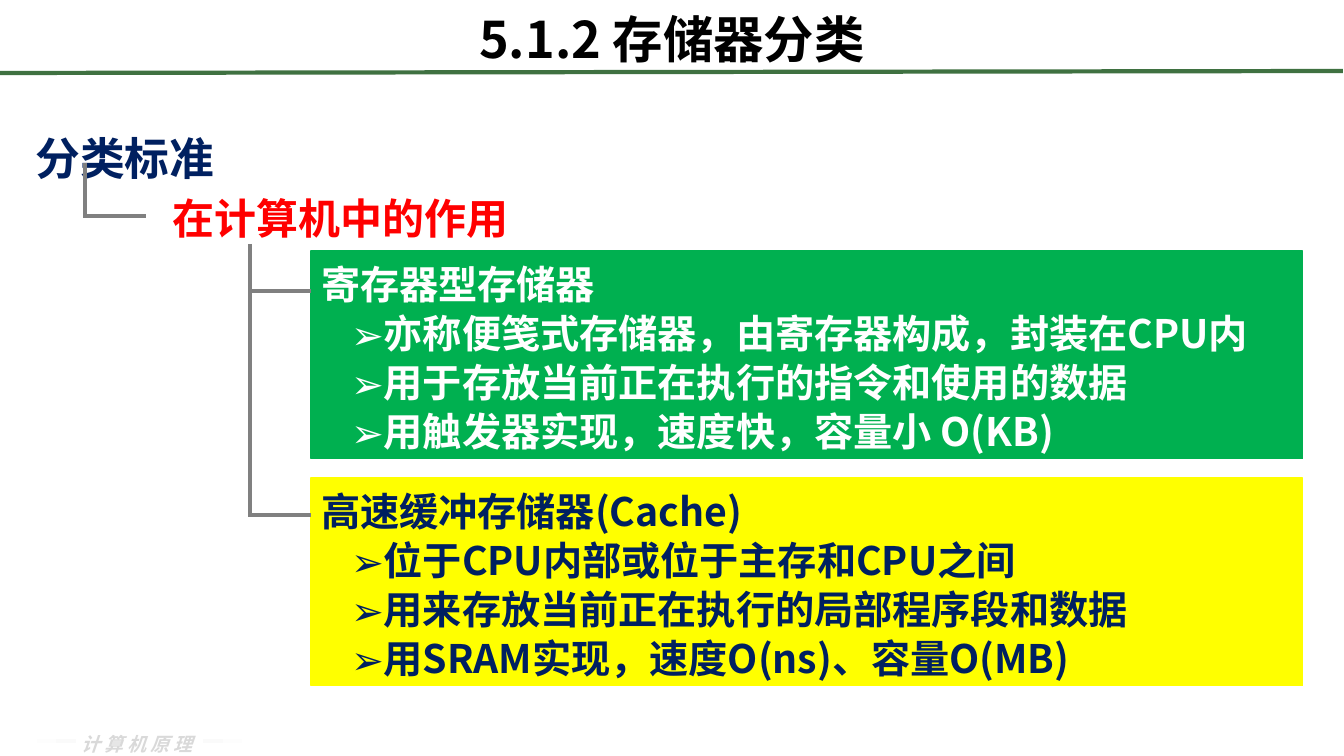
from pptx import Presentation
from pptx.dml.color import RGBColor
from pptx.enum.shapes import MSO_CONNECTOR, MSO_SHAPE
from pptx.enum.text import MSO_ANCHOR, PP_ALIGN
from pptx.oxml.ns import qn
from pptx.util import Emu, Pt
from lxml.etree import SubElement
from dataclasses import dataclass


@dataclass(frozen=True)
class Theme:
    face: str = "Noto Sans CJK SC"
    black: str = "000000"
    white: str = "FFFFFF"
    navy: str = "002060"
    red: str = "FF0000"
    green: str = "00B050"
    yellow: str = "FFFF00"
    branch: str = "808080"
    rule: str = "3F7141"
    footer: str = "D9D9D9"
    fade: str = "FAFAFA"
    title_size: float = 36
    heading_size: float = 32
    topic_size: float = 30
    list_size: float = 28
    footer_size: float = 13.5
    leading: float = 1.25


THEME = Theme()
EMU_PER_PX = 914400 / 100.8
PAGE_SIZE = (1344, 756)

# Boxes are (left, top, width, height) in px
LABELS = [
    dict(text="计算机原理", box=(72, 727, 147, 34), size=THEME.footer_size,
         color=THEME.footer, inset=5, italic=True, spacing=300),
    dict(text="5.1.2 存储器分类", box=(67, -3, 1210, 86), size=THEME.title_size,
         color=THEME.black, inset=9, align=PP_ALIGN.CENTER),
    dict(text="在计算机中的作用", box=(163, 183, 805, 62), size=THEME.topic_size,
         color=THEME.red, inset=7),
    dict(text="分类标准", box=(18, 105, 214, 64), size=THEME.heading_size,
         color=THEME.navy, inset=23, align=PP_ALIGN.CENTER, fill=THEME.white),
]
CARDS = [
    (THEME.green, THEME.white, "寄存器型存储器", [
        "亦称便笺式存储器，由寄存器构成，封装在CPU内",
        "用于存放当前正在执行的指令和使用的数据",
        "用触发器实现，速度快，容量小 O(KB)"]),
    (THEME.yellow, THEME.navy, "高速缓冲存储器(Cache)", [
        "位于CPU内部或位于主存和CPU之间",
        "用来存放当前正在执行的局部程序段和数据",
        "用SRAM实现，速度O(ns)、容量O(MB)"]),
]
CARD_LEFT, CARD_TOP, CARD_WIDTH, CARD_HEIGHT, CARD_STEP = 311, 251, 992, 208, 227
BULLET_INDENT, BULLET_HANG = 60, 30
FADES = [((203, 739, 59, 4), 0), ((17, 739, 59, 4), 180)]
RULE = (0, 73, 1343, 71)
BRANCHES = [
    (146, 216, 85, 216), (85, 163, 85, 218),
    (250, 244, 250, 516), (311, 291, 250, 291), (311, 515, 248, 515),
]


def px(*lengths):
    return [Emu(round(length * EMU_PER_PX)) for length in lengths]


def rgb(code):
    return RGBColor.from_string(code)


def add_line(page, ends, color):
    line = page.shapes.add_connector(MSO_CONNECTOR.STRAIGHT, *px(*ends))
    line.line.color.rgb = rgb(color)
    line.line.width = Pt(3)
    SubElement(line._element.spPr, qn("a:effectLst"))


def add_panel(page, box, fill=None):
    if fill is None:
        return page.shapes.add_textbox(*px(*box))
    panel = page.shapes.add_shape(MSO_SHAPE.RECTANGLE, *px(*box))
    panel.shadow.inherit = False
    panel.fill.solid()
    panel.fill.fore_color.rgb = rgb(fill)
    panel.line.fill.background()
    return panel


def prepare_frame(panel, inset):
    frame = panel.text_frame
    left, top = px(10, inset)
    settings = dict(word_wrap=True, vertical_anchor=MSO_ANCHOR.TOP, margin_left=left,
                    margin_right=left, margin_top=top, margin_bottom=0)
    for name, value in settings.items():
        setattr(frame, name, value)
    return frame


def write(para, text, size, color, align=PP_ALIGN.LEFT, italic=False, spacing=None):
    para.alignment = align
    para.line_spacing = Pt(size * THEME.leading)
    span = para.add_run()
    span.text = text
    for name, value in dict(name=THEME.face, size=Pt(size), bold=True, italic=italic).items():
        setattr(span.font, name, value)
    span.font.color.rgb = rgb(color)
    properties = span.font._element
    SubElement(properties, qn("a:ea"), typeface=THEME.face)
    if spacing:
        properties.set("spc", str(spacing))


def add_bullet(para):
    properties = para._p.get_or_add_pPr()
    indent, hang = px(BULLET_INDENT, BULLET_HANG)
    properties.set("marL", str(indent))
    properties.set("indent", str(-hang))
    SubElement(properties, qn("a:buFont"), typeface=THEME.face)
    SubElement(properties, qn("a:buChar"), char="➢")


def add_label(page, text, box, inset, fill=None, **style):
    frame = prepare_frame(add_panel(page, box, fill), inset)
    write(frame.paragraphs[0], text, **style)


def add_card(page, index, fill, color, heading, points):
    box = (CARD_LEFT, CARD_TOP + index * CARD_STEP, CARD_WIDTH, CARD_HEIGHT)
    panel = add_panel(page, box, fill)
    panel.line.color.rgb = rgb(fill)
    panel.line.width = Pt(0.75)
    frame = prepare_frame(panel, 7)
    write(frame.paragraphs[0], heading, THEME.list_size, color)
    for point in points:
        para = frame.add_paragraph()
        para.level = 1
        add_bullet(para)
        write(para, point, THEME.list_size, color)


def add_fade(page, box, angle):
    bar = add_panel(page, box, THEME.white)
    bar.fill.gradient()
    bar.fill.gradient_angle = angle
    for stop, color in zip(bar.fill.gradient_stops, (THEME.fade, THEME.white)):
        stop.color.rgb = rgb(color)


def main():
    deck = Presentation()
    deck.slide_width, deck.slide_height = px(*PAGE_SIZE)
    page = deck.slides.add_slide(deck.slide_layouts[6])
    for box, angle in FADES:
        add_fade(page, box, angle)
    add_line(page, RULE, THEME.rule)
    for label in LABELS:
        add_label(page, **label)
    for index, card in enumerate(CARDS):
        add_card(page, index, *card)
    for ends in BRANCHES:
        add_line(page, ends, THEME.branch)
    deck.save("out.pptx")


if __name__ == "__main__":
    main()
